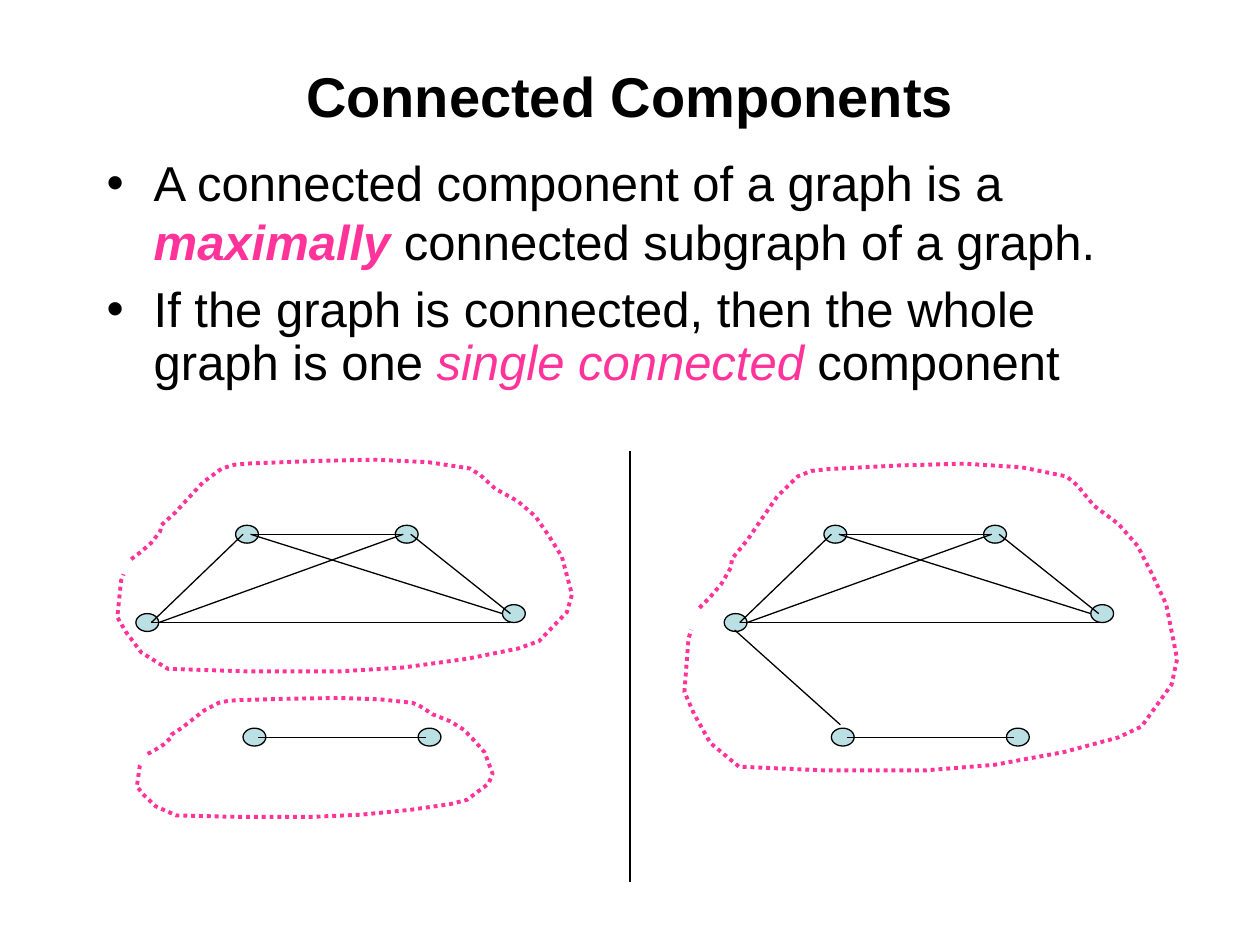
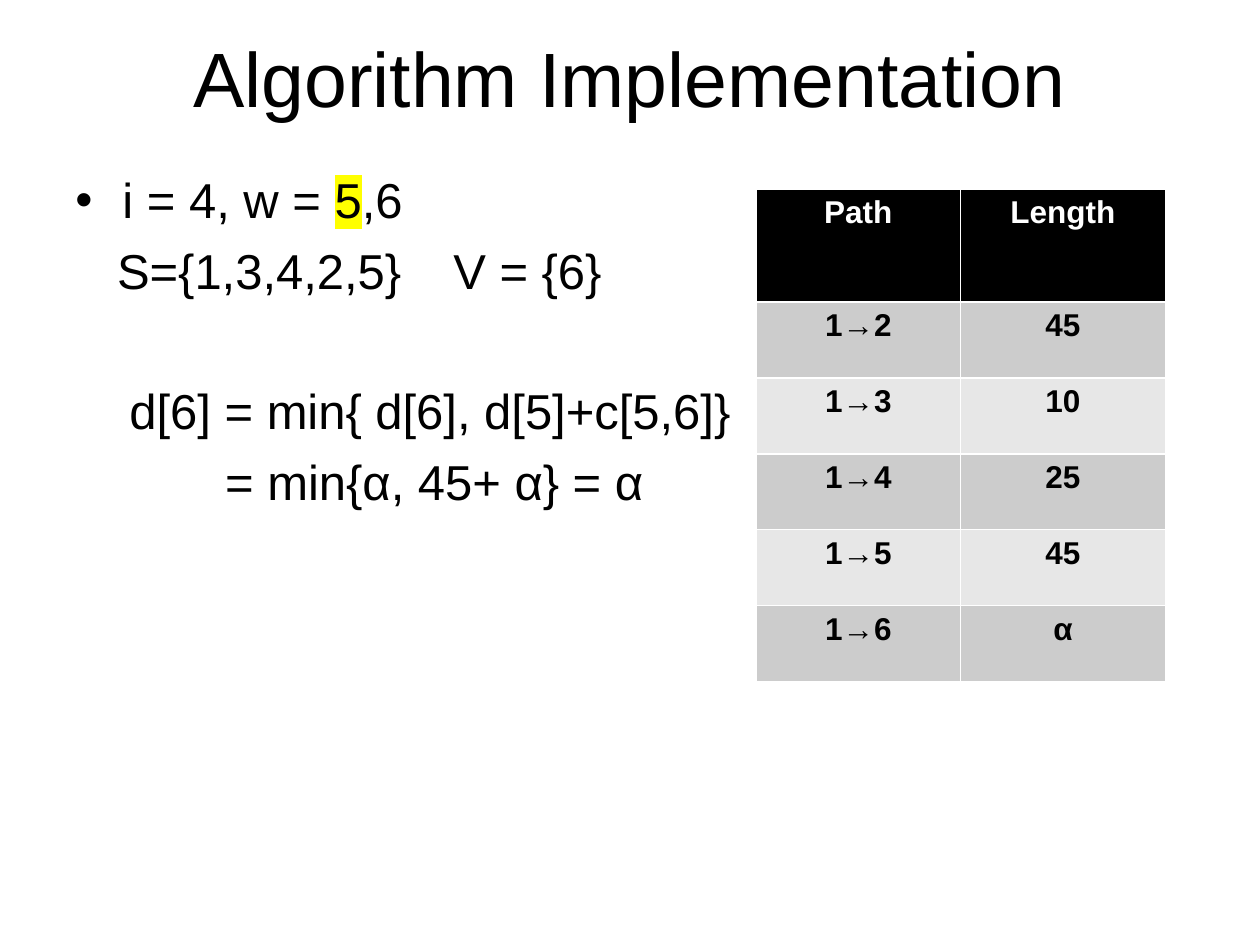
from lxml.etree import SubElement
from pptx import Presentation
from pptx.dml.color import RGBColor
from pptx.enum.dml import MSO_LINE
from pptx.enum.shapes import MSO_CONNECTOR, MSO_SHAPE
from pptx.enum.text import MSO_ANCHOR, PP_ALIGN
from pptx.oxml.ns import qn
from pptx.util import Cm, Pt

FONT = "Arial"
BLACK, WHITE, PINK, NODE_BLUE = "000000", "FFFFFF", "FF3399", "BBE0E3"
YELLOW, DARK_BAND, LIGHT_BAND = "FFFF00", "CCCCCC", "E7E7E7"


def rgb(hex_color):
    return RGBColor.from_string(hex_color)


def add_text(paragraph, text, size=28, color=BLACK, bold=False, italic=False, highlight=None):
    run = paragraph.add_run()
    run.text = text
    font = run.font
    font.size, font.bold, font.italic = Pt(size), bold, italic
    font.color.rgb = rgb(color)
    font.name = FONT
    if highlight:
        properties = run._r.get_or_add_rPr()
        marker = SubElement(properties, qn("a:highlight"))
        SubElement(marker, qn("a:srgbClr")).set("val", highlight)
        properties.find(qn("a:latin")).addprevious(marker)


presentation = Presentation()
presentation.slide_width, presentation.slide_height = Cm(25.4), Cm(19.05)

# Titles and body text of both slides
# Each paragraph: left margin, first-line indent, space before, line spacing, tab, runs
pages = [
    dict(title="Connected Components", title_top=1.07, title_height=1.7, size=32, bold=True,
         body=(1.9, 3.09, 21.59, 5.28), paragraphs=[
             (0.95, -0.95, 0, 0.9, None, [
                 ("A connected component of a graph is a ", {}),
                 ("maximally ", dict(color=PINK, bold=True, italic=True)),
                 ("connected subgraph of a graph.", {}),
                 (" ", dict(size=32))]),
             (0.95, -0.95, 7, 0.9, None, [
                 ("If the graph is connected, then the whole graph is one ", {}),
                 ("single connected", dict(color=PINK, italic=True)),
                 (" component", {})])]),
    dict(title="Algorithm Implementation", title_top=0.76, title_height=1.57, size=44, bold=False,
         body=(1.27, 3.3, 22.86, 14.6), paragraphs=[
             (0.95, -0.95, 0, 1, None, [
                 ("i = 4, w = ", {}), ("5", dict(highlight=YELLOW)), (",6", {})]),
             (0, 0.84, 7, 1, 8.48, [("S={1,3,4,2,5}\tV = {6}", {})]),
             (0, 1.09, 46, 1, None, [("d[6] = min{ d[6], d[5]+c[5,6]}", {})]),
             (0, 3.02, 7, 1, None, [("= min{α, 45+ α} = α", {})])]),
]

slides = []
for page in pages:
    slide = presentation.slides.add_slide(presentation.slide_layouts[5])
    slides.append(slide)
    title = slide.shapes.title
    title.left, title.top = Cm(1.27), Cm(page["title_top"])
    title.width, title.height = Cm(22.86), Cm(page["title_height"])
    title.text_frame.vertical_anchor = MSO_ANCHOR.MIDDLE
    paragraph = title.text_frame.paragraphs[0]
    paragraph.alignment = PP_ALIGN.CENTER
    add_text(paragraph, page["title"], size=page["size"], bold=page["bold"])

    body = slide.shapes.add_textbox(*[Cm(length) for length in page["body"]])
    frame = body.text_frame
    frame.word_wrap = True
    for index, (margin, indent, before, spacing, tab, runs) in enumerate(page["paragraphs"]):
        paragraph = frame.add_paragraph() if index else frame.paragraphs[0]
        paragraph.space_before, paragraph.line_spacing = Pt(before), spacing
        properties = paragraph._p.get_or_add_pPr()
        properties.set("marL", str(Cm(margin)))
        properties.set("indent", str(Cm(indent)))
        if indent < 0:
            SubElement(properties, qn("a:buFont")).set("typeface", FONT)
            SubElement(properties, qn("a:buChar")).set("char", "•")
        if tab:
            stop = SubElement(SubElement(properties, qn("a:tabLst")), qn("a:tab"))
            stop.set("pos", str(Cm(tab)))
            stop.set("algn", "l")
        for text, text_format in runs:
            add_text(paragraph, text, **text_format)

components_slide, algorithm_slide = slides

# Graph nodes, drawn once on each side of the divider
node_width, node_height = 0.46, 0.36
right_graph_offset = 11.86
node_centers = [(2.97, 12.55), (4.98, 10.77), (8.2, 10.77), (10.36, 12.37),
                (5.13, 14.86), (8.66, 14.86)]
graph_edges = [(5.05, 10.77, 8.13, 10.77), (3.05, 12.55, 10.29, 12.55),
               (3.05, 12.55, 4.9, 10.77), (8.28, 10.77, 10.29, 12.37),
               (5.21, 14.86, 8.59, 14.86), (3.2, 12.55, 8.13, 10.77),
               (5.05, 10.77, 10.13, 12.37)]
divider = (12.7, 9.09, 12.7, 17.78)
bridge = (16.94, 14.61, 14.81, 12.7)
lines = [divider, bridge]
for offset in (0, right_graph_offset):
    for x, y in node_centers:
        node = components_slide.shapes.add_shape(
            MSO_SHAPE.OVAL, Cm(x + offset - node_width / 2), Cm(y - node_height / 2),
            Cm(node_width), Cm(node_height))
        node.shadow.inherit = False
        node.fill.solid()
        node.fill.fore_color.rgb = rgb(NODE_BLUE)
        node.line.color.rgb = rgb(BLACK)
        node.line.width = Pt(0.75)
    lines += [(x1 + offset, y1, x2 + offset, y2) for x1, y1, x2, y2 in graph_edges]

# Edges, divider and the edge that joins the right-hand graph
for ends in lines:
    connector = components_slide.shapes.add_connector(
        MSO_CONNECTOR.STRAIGHT, *[Cm(length) for length in ends])
    connector.line.color.rgb = rgb(BLACK)
    connector.line.width = Pt(0.75)
    SubElement(connector._element.spPr, qn("a:effectLst"))

# Dotted loops: one outline on a 362 by 178 grid, scaled to each component
loop_grid = (362, 178)
loop_points = [
    (12, 86), (20, 80), (28, 73), (35, 64), (36, 59), (47, 49), (57, 38), (69, 25),
    (84, 14), (94, 11), (106, 10), (158, 8), (206, 7), (248, 9), (281, 14), (289, 19),
    (301, 30), (319, 40), (333, 52), (344, 68), (354, 84), (362, 114), (358, 128),
    (336, 151), (319, 157), (279, 165), (228, 172), (178, 175), (103, 175), (41, 173),
    (20, 160), (8, 144), (1, 132), (4, 103), (6, 98)]
loop_boxes = [(2.34, 9.09, 9.19, 4.52), (2.74, 13.97, 7.19, 2.54), (13.77, 9.09, 9.96, 6.55)]
for left, top, width, height in loop_boxes:
    scale = (Cm(width) / loop_grid[0], Cm(height) / loop_grid[1])
    builder = components_slide.shapes.build_freeform(*loop_points[0], scale=scale)
    builder.add_line_segments(loop_points[1:], close=False)
    loop = builder.convert_to_shape(Cm(left), Cm(top))
    loop.shadow.inherit = False
    loop.fill.background()
    loop.line.color.rgb = rgb(PINK)
    loop.line.width = Pt(2.25)
    loop.line.dash_style = MSO_LINE.ROUND_DOT

# Table of shortest paths; its style supplies the white rules
path_rows = [("Path", "Length"), ("1→2", "45"), ("1→3", "10"), ("1→4", "25"),
             ("1→5", "45"), ("1→6", "α")]
table = algorithm_slide.shapes.add_table(
    len(path_rows), 2, Cm(15.24), Cm(3.81), Cm(8.25), Cm(9.96)).table
for row_index, values in enumerate(path_rows):
    is_header = row_index == 0
    table.rows[row_index].height = Cm(2.28 if is_header else 1.53)
    band = BLACK if is_header else DARK_BAND if row_index % 2 else LIGHT_BAND
    for column_index, value in enumerate(values):
        cell = table.cell(row_index, column_index)
        cell.fill.solid()
        cell.fill.fore_color.rgb = rgb(band)
        paragraph = cell.text_frame.paragraphs[0]
        paragraph.alignment = PP_ALIGN.CENTER
        add_text(paragraph, value, size=18, bold=True, color=WHITE if is_header else BLACK)

presentation.save("out.pptx")
